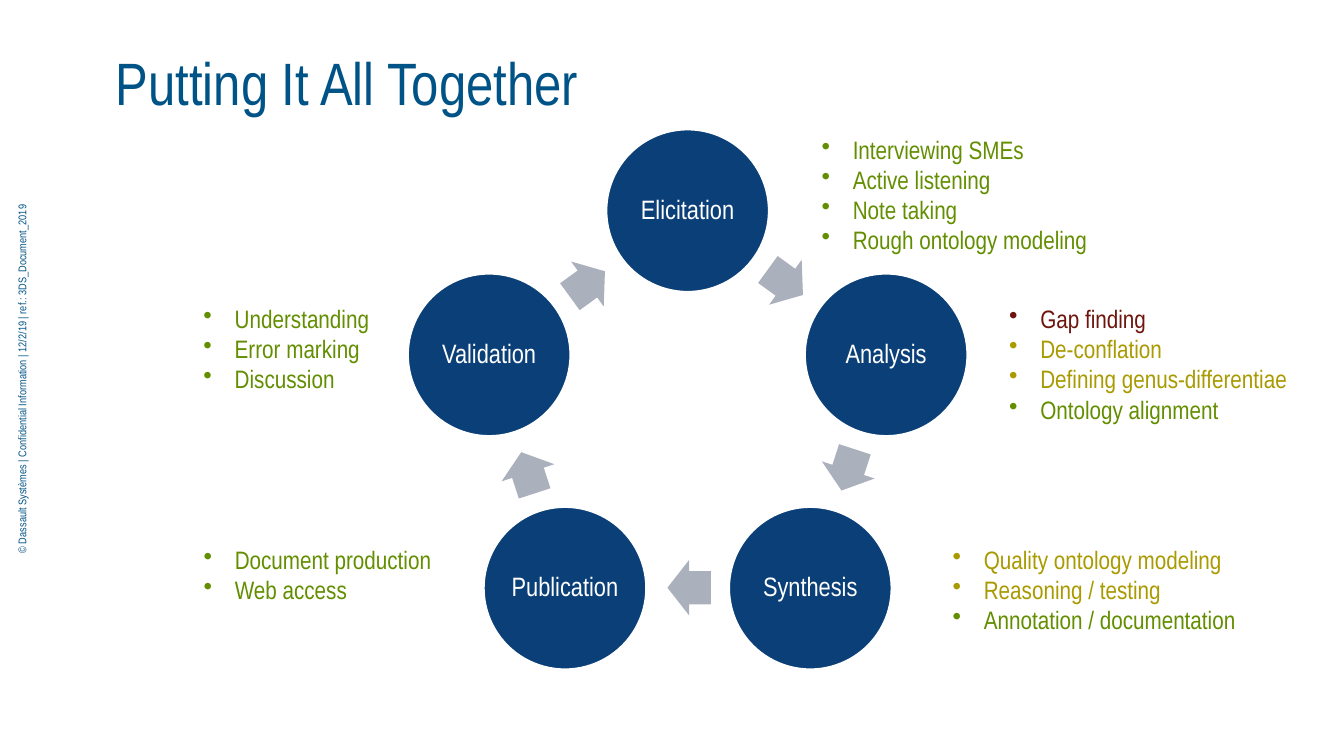
import math
from dataclasses import dataclass

import pptx
import pptx.dml.color
import pptx.enum.shapes
import pptx.enum.text
import pptx.oxml
import pptx.util
from lxml import etree

SHAPE = pptx.enum.shapes.MSO_SHAPE
ALIGN = pptx.enum.text.PP_ALIGN
ANCHOR = pptx.enum.text.MSO_ANCHOR


@dataclass(frozen=True)
class Theme:
    font: str = "Arial Narrow"
    white: str = "FFFFFF"
    title: str = "005386"
    node: str = "0B3F77"
    arrow: str = "ABB0BD"
    green: str = "638E00"
    gold: str = "A99A00"
    red: str = "6D150E"
    title_size: float = 42.7
    node_size: float = 19
    list_size: float = 18
    footer_size: float = 8


def px(n):
    return pptx.util.Emu(round(n * 9144))


def rgb(color):
    return pptx.dml.color.RGBColor.from_string(color)


class CycleSlide:
    """Draws the parts of a cycle diagram on one slide, measured in px of 1/100 inch."""

    def __init__(self, prs, theme):
        self.theme = theme
        self.s = prs.slides.add_slide(prs.slide_layouts[6])

    def run(self, p, text, size, color):
        r = p.add_run()
        r.text = text
        r.font.name = self.theme.font
        r.font.size = pptx.util.Pt(size)
        r.font.color.rgb = rgb(color)

    def frame(self, sp, margin_x, margin_y, anchor):
        tf = sp.text_frame
        tf.word_wrap = True
        tf.vertical_anchor = anchor
        tf.margin_left = tf.margin_right = px(margin_x)
        tf.margin_top = tf.margin_bottom = px(margin_y)
        return tf

    def text(self, box, text, size, margins=(10, 5), anchor=ANCHOR.MIDDLE,
             align=ALIGN.LEFT, rotation=0):
        sp = self.s.shapes.add_textbox(*map(px, box))
        sp.rotation = rotation
        p = self.frame(sp, *margins, anchor).paragraphs[0]
        p.alignment = align
        self.run(p, text, size, self.theme.title)

    def bullets(self, box, items):
        sp = self.s.shapes.add_textbox(*map(px, box))
        tf = self.frame(sp, 10, 5, ANCHOR.TOP)
        for i, (text, color) in enumerate(items):
            p = tf.add_paragraph() if i else tf.paragraphs[0]
            pPr = p._p.get_or_add_pPr()
            pPr.set("marL", str(px(31)))
            pPr.set("indent", str(px(-31)))
            bullet = etree.SubElement(pPr, pptx.oxml.ns.qn("a:buChar"))
            bullet.set("char", "•")
            self.run(p, text, self.theme.list_size, color)

    def shape(self, kind, center, width, height, fill):
        x, y = center
        sp = self.s.shapes.add_shape(
            kind, px(x - width / 2), px(y - height / 2), px(width), px(height))
        sp.shadow.inherit = False
        sp.fill.solid()
        sp.fill.fore_color.rgb = rgb(fill)
        return sp

    def node(self, center, label):
        sp = self.shape(SHAPE.OVAL, center, 162, 162, self.theme.node)
        sp.line.color.rgb = rgb(self.theme.white)
        sp.line.width = pptx.util.Pt(2)
        p = self.frame(sp, 3, 3, ANCHOR.MIDDLE).paragraphs[0]
        p.alignment = ALIGN.CENTER
        p.line_spacing = 0.9
        self.run(p, label, self.theme.node_size, self.theme.white)

    def arrow(self, center, rotation):
        sp = self.shape(SHAPE.RIGHT_ARROW, center, 43, 55, self.theme.arrow)
        sp.line.fill.background()
        sp.adjustments[0] = 0.6
        sp.adjustments[1] = 0.5
        sp.rotation = rotation


def on_ring(radius, degrees):
    angle = math.radians(degrees)
    return 682 + radius * math.sin(angle), 416 - radius * math.cos(angle)


def main():
    prs = pptx.Presentation()
    prs.slide_width, prs.slide_height = px(1333), px(750)
    theme = Theme()
    slide = CycleSlide(prs, theme)
    green, gold, red = theme.green, theme.gold, theme.red

    slide.text((-354, 363, 752, 26),
               "© Dassault Systèmes | Confidential Information | 12/2/19 | ref.: 3DS_Document_2019",
               theme.footer_size, (13, 6), ANCHOR.TOP, ALIGN.CENTER, 270)
    slide.text((105, 53, 1155, 55), "Putting It All Together", theme.title_size)

    stages = [
        ("Elicitation", (805, 128, 287, 162),
         [("Interviewing SMEs", green), ("Active listening", green),
          ("Note taking", green), ("Rough ontology modeling", green)]),
        ("Analysis", (991, 296, 299, 131),
         [("Gap finding", red), ("De-conflation", gold),
          ("Defining genus-differentiae", gold), ("Ontology alignment", green)]),
        ("Synthesis", (935, 535, 310, 101),
         [("Quality ontology modeling", gold), ("Reasoning / testing", gold),
          ("Annotation / documentation", green)]),
        ("Publication", (192, 535, 249, 71),
         [("Document production", green), ("Web access", green)]),
        ("Validation", (192, 296, 187, 101),
         [("Understanding", green), ("Error marking", green), ("Discussion", green)]),
    ]
    step = 360 / len(stages)
    for i, (label, box, items) in enumerate(stages):
        slide.node(on_ring(207, i * step), label)
        slide.arrow(on_ring(167, i * step + 35.5), (i + 0.5) * step)
        slide.bullets(box, items)

    prs.save("out.pptx")


if __name__ == "__main__":
    main()
